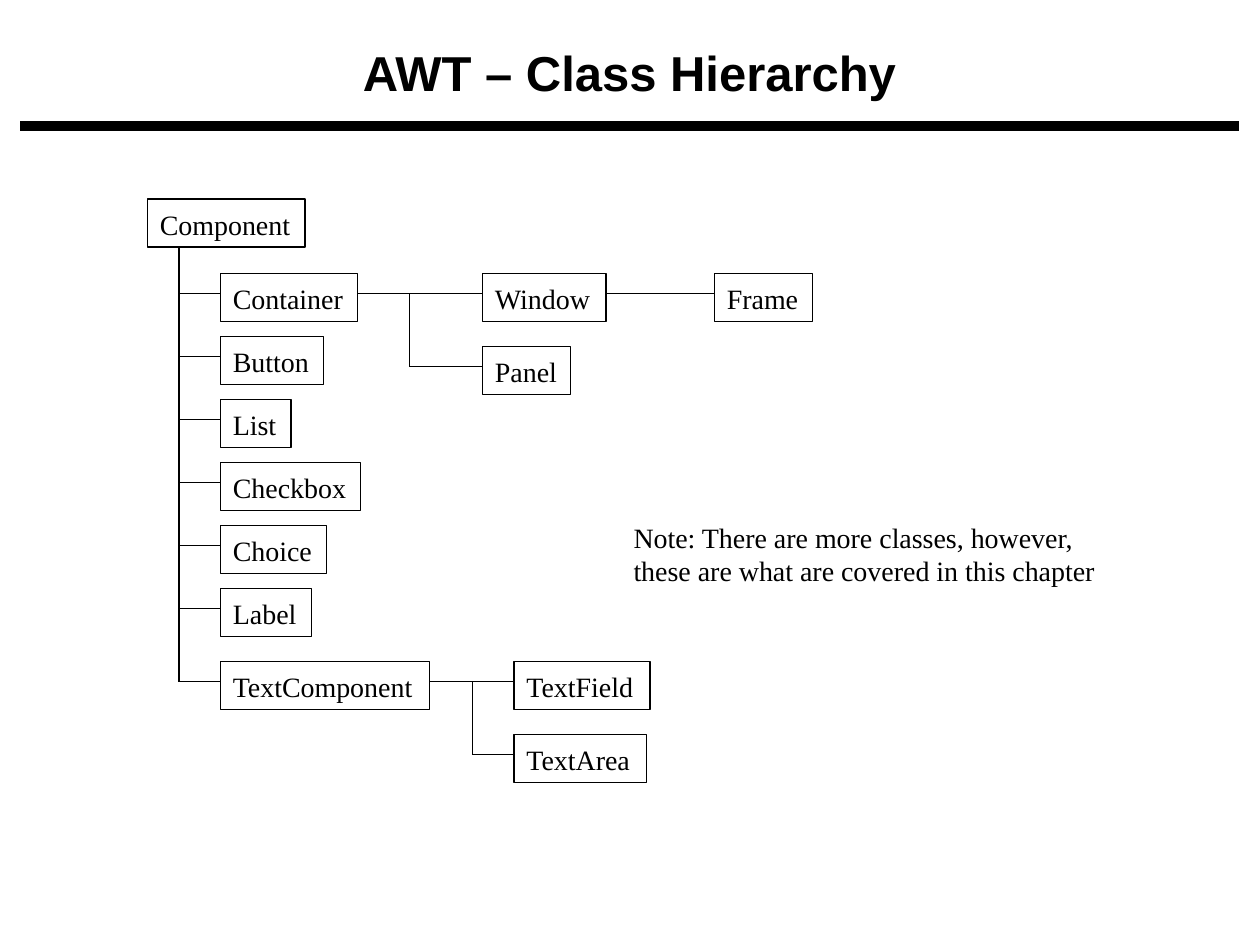
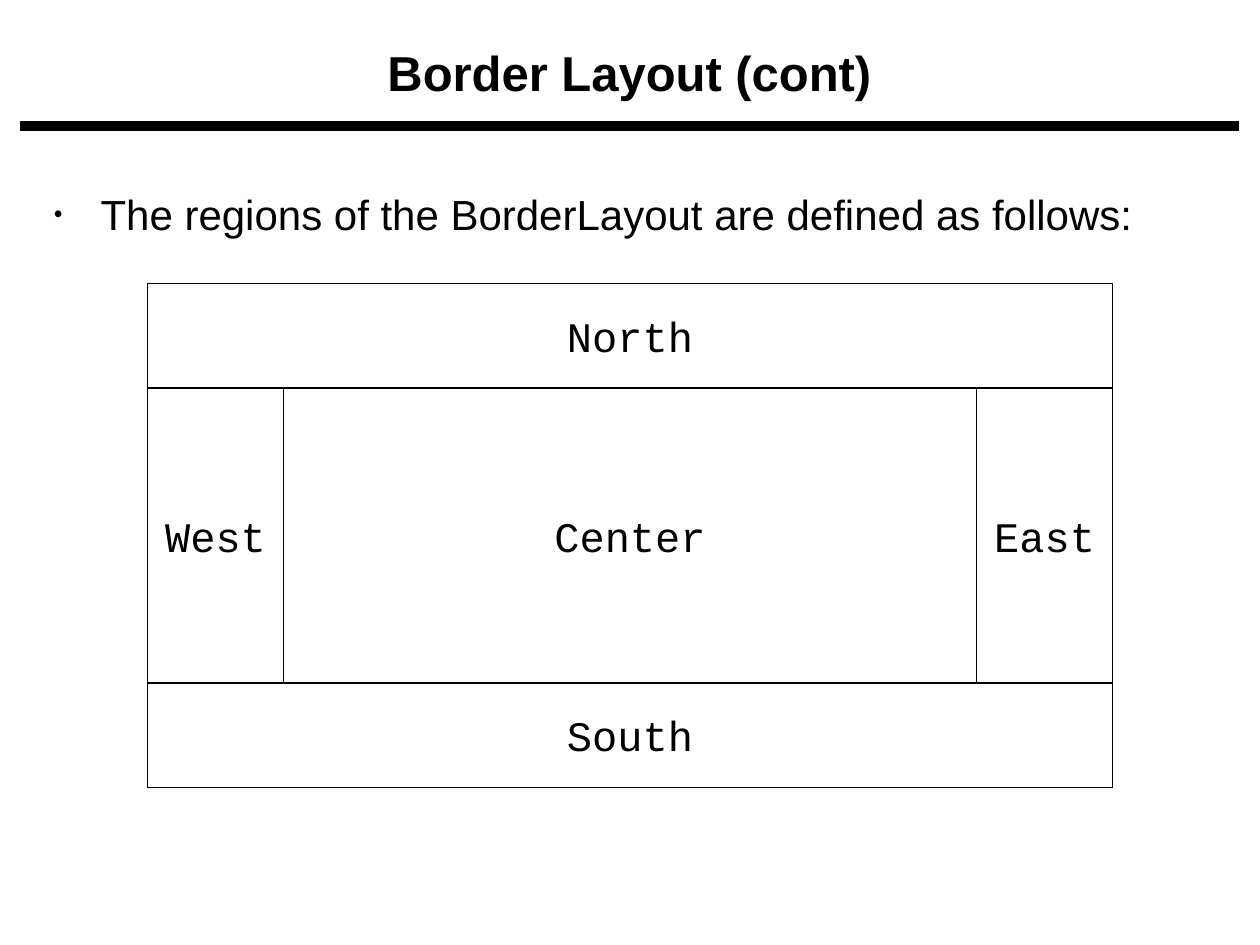
from lxml import etree
from pptx import Presentation
from pptx.dml.color import RGBColor
from pptx.enum.shapes import MSO_CONNECTOR, MSO_SHAPE
from pptx.enum.text import MSO_ANCHOR, MSO_AUTO_SIZE, PP_ALIGN
from pptx.oxml.ns import qn
from pptx.util import Inches, Pt

STRAIGHT = MSO_CONNECTOR.STRAIGHT
RECTANGLE = MSO_SHAPE.RECTANGLE
TOP, MIDDLE = MSO_ANCHOR.TOP, MSO_ANCHOR.MIDDLE
LEFT, CENTER = PP_ALIGN.LEFT, PP_ALIGN.CENTER
NO_AUTOFIT = MSO_AUTO_SIZE.NONE

COLORS = {"ink": "000000", "paper": "FFFFFF"}
INK = RGBColor.from_string(COLORS["ink"])
PAPER = RGBColor.from_string(COLORS["paper"])

TITLE_FONT = {"name": "Arial", "size": Pt(28), "bold": True}
BODY_FONT = {"name": "Arial", "size": Pt(24)}
CLASS_FONT = {"name": "Times New Roman", "size": Pt(16)}
REGION_FONT = {"name": "Courier New", "size": Pt(24)}


def write_text(shape, lines, font, align, anchor, margins):
    frame = shape.text_frame
    frame_format = {
        "word_wrap": True,
        "auto_size": NO_AUTOFIT,
        "vertical_anchor": anchor,
    }
    for side, margin in zip(("left", "top", "right", "bottom"), margins):
        frame_format[f"margin_{side}"] = Inches(margin)
    for name, value in frame_format.items():
        setattr(frame, name, value)
    for index, line in enumerate(lines):
        para = frame.add_paragraph() if index else frame.paragraphs[0]
        para.alignment = align
        span = para.add_run()
        span.text = line
        span.font.color.rgb = INK
        for name, value in font.items():
            setattr(span.font, name, value)


def draw_line(page, left, top, right, bottom, width=0.75):
    line = page.shapes.add_connector(
        STRAIGHT, Inches(left), Inches(top), Inches(right), Inches(bottom)
    )
    line.line.color.rgb = INK
    line.line.width = Pt(width)
    etree.SubElement(line._element.spPr, qn("a:effectLst"))


deck = Presentation()
deck.slide_width = Inches(10)
deck.slide_height = Inches(7.5)

pages = []
for heading in ("AWT – Class Hierarchy", "Border Layout (cont)"):
    page = deck.slides.add_slide(deck.slide_layouts[5])
    page.background.fill.solid()
    page.background.fill.fore_color.rgb = PAPER
    title = page.shapes.title
    title.left, title.top = Inches(0.83), Inches(0.25)
    title.width, title.height = Inches(8.33), Inches(0.57)
    write_text(title, [heading], TITLE_FONT, CENTER, TOP, (0.1, 0.09, 0.1, 0.03))
    draw_line(page, 0.16, 1, 9.83, 1, 6)
    pages.append(page)
hierarchy, regions = pages

SPINE_LEFT, CHILD_LEFT = 1.42, 1.75
BOX_HEIGHT, LINE_DROP = 0.38, 0.16
CONTAINER_TOP, PANEL_TOP = 2.17, 2.75
TEXT_COMPONENT_TOP, TEXT_AREA_TOP = 5.25, 5.83

children = [("Container", CONTAINER_TOP, 1.09)]
simple_widths = {"Button": 0.82, "List": 0.56, "Checkbox": 1.11, "Choice": 0.84, "Label": 0.72}
for step, (name, width) in enumerate(simple_widths.items(), 1):
    children.append((name, CONTAINER_TOP + 0.5 * step, width))
children.append(("TextComponent", TEXT_COMPONENT_TOP, 1.66))

draw_line(hierarchy, SPINE_LEFT, 1.92, SPINE_LEFT, TEXT_COMPONENT_TOP + LINE_DROP)
for name, top, width in children:
    draw_line(hierarchy, SPINE_LEFT, top + LINE_DROP, CHILD_LEFT, top + LINE_DROP)

branches = [
    (2.83, 3.25, 3.83, CONTAINER_TOP, PANEL_TOP),
    (3.4, 3.75, 4.08, TEXT_COMPONENT_TOP, TEXT_AREA_TOP),
]
for start, fork, end, upper, lower in branches:
    upper_line, lower_line = upper + LINE_DROP, lower + LINE_DROP
    draw_line(hierarchy, start, upper_line, end, upper_line)
    draw_line(hierarchy, fork, upper_line, fork, lower_line)
    draw_line(hierarchy, fork, lower_line, end, lower_line)
draw_line(hierarchy, 4.75, CONTAINER_TOP + LINE_DROP, 5.67, CONTAINER_TOP + LINE_DROP)

class_boxes = [("Component", 1.17, 1.58, 1.25)]
class_boxes += [(name, CHILD_LEFT, top, width) for name, top, width in children]
class_boxes += [
    ("Window", 3.83, CONTAINER_TOP, 0.98),
    ("Panel", 3.83, PANEL_TOP, 0.7),
    ("Frame", 5.67, CONTAINER_TOP, 0.78),
    ("TextField", 4.08, TEXT_COMPONENT_TOP, 1.08),
    ("TextArea", 4.08, TEXT_AREA_TOP, 1.05),
]
region_boxes = [
    ("Center", 1.17, 2.25, 7.66, 4),
    ("North", 1.17, 2.25, 7.66, 0.83),
    ("South", 1.17, 5.42, 7.66, 0.83),
    ("West", 1.17, 3.08, 1.08, 2.34),
    ("East", 7.75, 3.08, 1.08, 2.34),
]
boxes = [
    (hierarchy, name, left, top, width, BOX_HEIGHT, CLASS_FONT, LEFT, (0.1, 0.05, 0, 0.03))
    for name, left, top, width in class_boxes
]
boxes += [
    (regions, *region, REGION_FONT, CENTER, (0, 0.05, 0, 0.05))
    for region in region_boxes
]
for page, name, left, top, width, height, font, align, margins in boxes:
    box = page.shapes.add_shape(
        RECTANGLE, Inches(left), Inches(top), Inches(width), Inches(height)
    )
    box.shadow.inherit = False
    box.fill.solid()
    box.fill.fore_color.rgb = PAPER
    box.line.color.rgb = INK
    box.line.width = Pt(0.75)
    write_text(box, [name], font, align, MIDDLE, margins)

note = hierarchy.shapes.add_textbox(Inches(4.93), Inches(4.08), Inches(3.86), Inches(0.63))
note_lines = [
    "Note: There are more classes, however,",
    "these are what are covered in this chapter",
]
write_text(note, note_lines, CLASS_FONT, LEFT, MIDDLE, (0.1, 0.05, 0, 0.05))

intro = regions.shapes.add_textbox(Inches(0.33), Inches(1.42), Inches(9.17), Inches(0.96))
intro_lines = ["The regions of the BorderLayout are defined as follows:"]
write_text(intro, intro_lines, BODY_FONT, LEFT, TOP, (0.1, 0.08, 0.1, 0.05))
bullet = intro.text_frame.paragraphs[0]._p.get_or_add_pPr()
bullet.set("marL", str(Inches(0.37)))
bullet.set("indent", str(Inches(-0.37)))
bullet_color = etree.SubElement(bullet, qn("a:buClr"))
etree.SubElement(bullet_color, qn("a:srgbClr"), val=COLORS["ink"])
etree.SubElement(bullet, qn("a:buSzPct"), val="59000")
etree.SubElement(bullet, qn("a:buFont"), typeface="Arial")
etree.SubElement(bullet, qn("a:buChar"), char="•")

deck.save("out.pptx")
